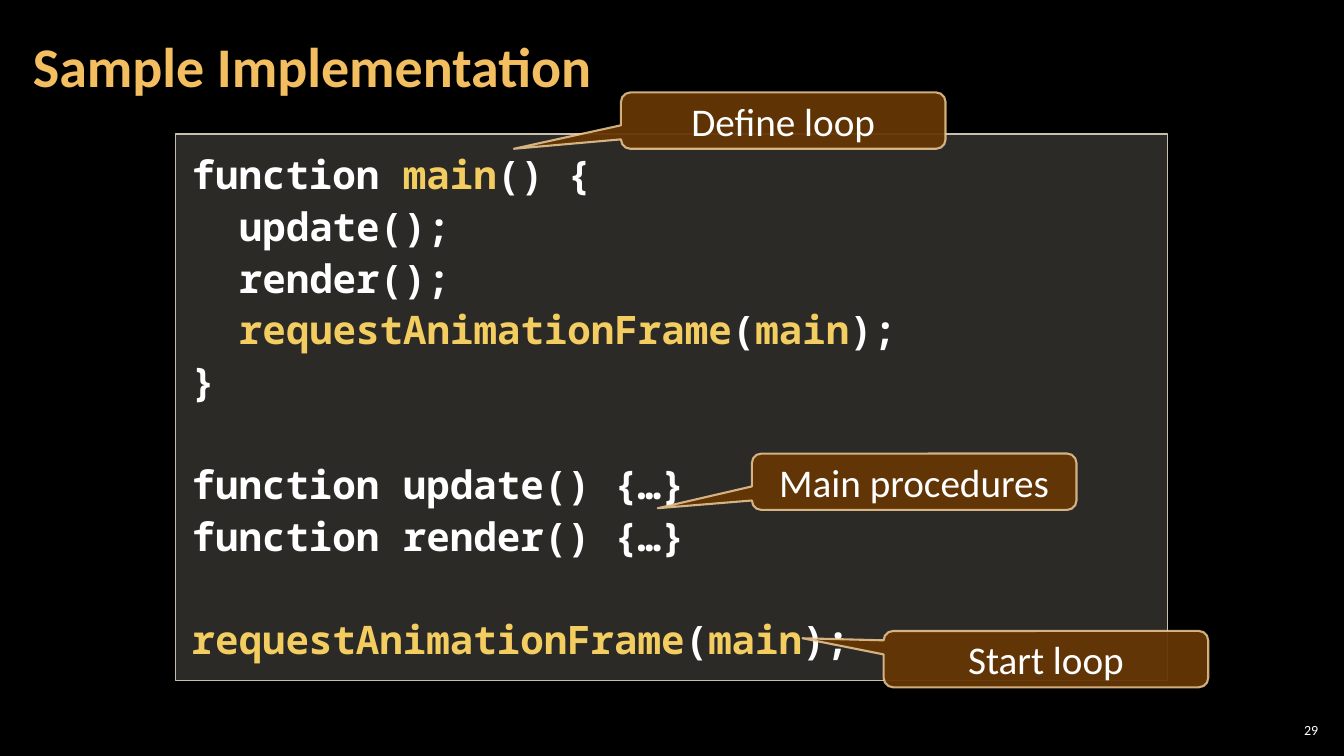
from dataclasses import dataclass

from lxml import etree
from pptx import Presentation
from pptx.dml.color import RGBColor
from pptx.enum.shapes import MSO_SHAPE
from pptx.enum.text import MSO_ANCHOR, PP_ALIGN
from pptx.oxml.ns import qn
from pptx.util import Cm, Pt

RECTANGLE = MSO_SHAPE.RECTANGLE
CALLOUT = MSO_SHAPE.ROUNDED_RECTANGULAR_CALLOUT
TOP, MIDDLE = MSO_ANCHOR.TOP, MSO_ANCHOR.MIDDLE
LEFT, CENTER, RIGHT = PP_ALIGN.LEFT, PP_ALIGN.CENTER, PP_ALIGN.RIGHT


@dataclass(frozen=True)
class Theme:
    background: str = "000000"
    text: str = "FFFFFF"
    title: str = "F3BE60"
    keyword: str = "F3CD60"
    panel: str = "D9D5C7"
    panel_line: str = "C7BFAC"
    callout: str = "663606"
    callout_line: str = "F8D49E"
    body_font: str = "Calibri"
    code_font: str = "Noto Sans Mono"
    title_size: int = 40
    body_size: int = 28
    number_size: int = 10
    code_pitch: float = 36.9
    code_indent: float = 1.19


# Each line: indent level, blank lines after it, pieces (odd ones are highlighted)
CODE = [
    (0, 0, ["function ", "main", "() {"]),
    (1, 0, ["update();"]),
    (1, 0, ["render();"]),
    (1, 0, ["", "requestAnimationFrame", "(", "main", ");"]),
    (0, 1, ["}"]),
    (0, 0, ["function update() {…}"]),
    (0, 1, ["function render() {…}"]),
    (0, 0, ["", "requestAnimationFrame", "(", "main", ");"]),
]

# Each callout: text, left, top, tail offset across and down
CALLOUTS = [
    ("Define loop", 15.65, 2.33, 0.83, 0.5),
    ("Main procedures", 18.95, 11.43, 0.79, 0.47),
    ("Start loop", 22.27, 15.9, 0.75, -0.37),
]


class SlideBuilder:
    def __init__(self, slide, theme):
        self.slide = slide
        self.theme = theme
        slide.background.fill.solid()
        slide.background.fill.fore_color.rgb = RGBColor.from_string(theme.background)

    def set_color(self, fill, color, opacity=100):
        fill.solid()
        fill.fore_color.rgb = RGBColor.from_string(color)
        if opacity < 100:
            color_element = fill._xPr.find(qn("a:solidFill"))[0]
            alpha = etree.SubElement(color_element, qn("a:alpha"))
            alpha.set("val", str(opacity * 1000))

    def set_frame(self, shape, anchor, horizontal, vertical):
        frame = shape.text_frame
        frame.word_wrap = True
        frame.vertical_anchor = anchor
        frame.margin_left = frame.margin_right = Cm(horizontal)
        frame.margin_top = frame.margin_bottom = Cm(vertical)
        return frame

    def add_run(self, paragraph, text, font, size, color, bold=False):
        run = paragraph.add_run()
        run.text = text
        run.font.name = font
        run.font.size = Pt(size)
        run.font.bold = bold
        run.font.color.rgb = RGBColor.from_string(color)

    def add_shape(self, kind, box, fill, fill_opacity, line, line_width, line_opacity=100):
        shape = self.slide.shapes.add_shape(kind, *map(Cm, box))
        shape.shadow.inherit = False
        self.set_color(shape.fill, fill, fill_opacity)
        shape.line.width = Pt(line_width)
        self.set_color(shape.line.fill, line, line_opacity)
        return shape

    def add_label(self, text, box, size, color, alignment, horizontal, bold=False):
        label = self.slide.shapes.add_textbox(*map(Cm, box))
        frame = self.set_frame(label, MIDDLE, horizontal, 0.1)
        paragraph = frame.paragraphs[0]
        paragraph.alignment = alignment
        self.add_run(paragraph, text, self.theme.body_font, size, color, bold)

    def add_code(self, lines, box):
        theme = self.theme
        panel = self.add_shape(RECTANGLE, box, theme.panel, 20, theme.panel_line, 1)
        frame = self.set_frame(panel, TOP, 0.41, 0.3)
        for index, (level, blank_lines, pieces) in enumerate(lines):
            paragraph = frame.add_paragraph() if index else frame.paragraphs[0]
            paragraph.alignment = LEFT
            paragraph.line_spacing = Pt(theme.code_pitch)
            paragraph.space_after = Pt(blank_lines * theme.code_pitch)
            indent = Cm(level * theme.code_indent)
            paragraph._p.get_or_add_pPr().set("marL", str(indent))
            for position, piece in enumerate(pieces):
                color = theme.keyword if position % 2 else theme.text
                if piece:
                    self.add_run(paragraph, piece, theme.code_font,
                                 theme.body_size, color, bold=True)

    def add_callout(self, text, left, top, tail_across, tail_down):
        """Add a callout flipped so that its tail points to the left."""
        theme = self.theme
        shape = self.add_shape(CALLOUT, (left, top, 8.18, 1.42), theme.callout, 95,
                               theme.callout_line, 1.5, 80)
        shape._element.spPr.find(qn("a:xfrm")).set("flipH", "1")
        shape.adjustments[0] = tail_across
        shape.adjustments[1] = tail_down
        frame = self.set_frame(shape, MIDDLE, 0.25, 0.13)
        paragraph = frame.paragraphs[0]
        paragraph.alignment = CENTER
        self.add_run(paragraph, text, theme.body_font, theme.body_size, theme.text)


def main():
    presentation = Presentation()
    presentation.slide_width, presentation.slide_height = Cm(33.87), Cm(19.05)
    slide = presentation.slides.add_slide(presentation.slide_layouts[6])
    theme = Theme()
    builder = SlideBuilder(slide, theme)
    builder.add_label("29", (32.13, 18.14, 1.19, 0.53), theme.number_size,
                      theme.text, RIGHT, 0.1)
    builder.add_label("Sample Implementation", (0.53, 0.1, 26.6, 3.07),
                      theme.title_size, theme.title, LEFT, 0.3, bold=True)
    builder.add_code(CODE, (4.42, 3.38, 25, 13.77))
    for callout in CALLOUTS:
        builder.add_callout(*callout)
    presentation.save("out.pptx")


if __name__ == "__main__":
    main()
